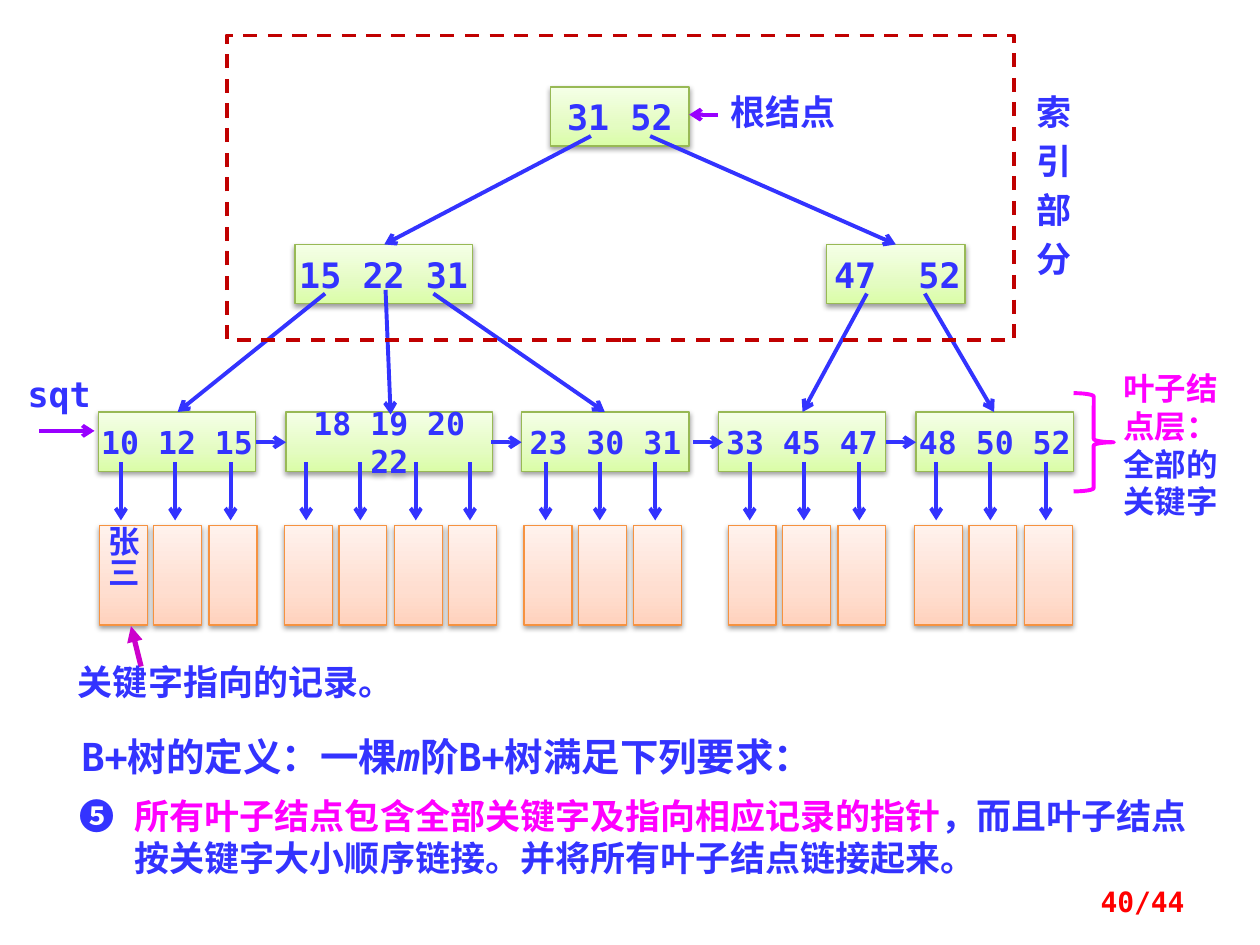
from pptx import Presentation
from pptx.dml.color import RGBColor
from pptx.enum.dml import MSO_LINE
from pptx.enum.shapes import MSO_CONNECTOR, MSO_SHAPE
from pptx.enum.text import MSO_ANCHOR, PP_ALIGN
from pptx.oxml import parse_xml
from pptx.oxml.ns import nsdecls, qn
from pptx.util import Pt
from lxml.etree import SubElement

PX = 9144  # 100 px to the inch
HEX = {"blue": "3333FF", "pink": "FF00FF", "red": "FF0000", "wine": "C00000",
       "violet": "9900FF", "plum": "CC00CC", "green": "98B955", "orange": "F69240"}
FADE = {"green": ("DAFDA7", "E4FCC2", "F5FFE7"),
        "orange": ("FFD2BD", "FFDED0", "FFF2ED")}
MONO, SANS, SERIF = "DejaVu Sans Mono", "Noto Sans CJK SC", "Times New Roman"

prs = Presentation()
prs.slide_width, prs.slide_height = 1000 * PX, 750 * PX
slide = prs.slides.add_slide(prs.slide_layouts[6])
shapes = slide.shapes


def write(box, *paras, size=20, font=MONO, color="blue", align=PP_ALIGN.LEFT,
          anchor=MSO_ANCHOR.TOP, inset=(10, 5, 10, 5), lines=None, gap=None,
          hang=0, tab=0):
    """Fill a shape with paragraphs; each is a string or a list of (text, format)."""
    frame = box.text_frame
    frame.word_wrap = True
    frame.vertical_anchor = anchor
    (frame.margin_left, frame.margin_top,
     frame.margin_right, frame.margin_bottom) = [n * PX for n in inset]
    for i, runs in enumerate(paras):
        para = frame.add_paragraph() if i else frame.paragraphs[0]
        props = para._p.get_or_add_pPr()
        if hang:
            props.set("marL", str(50 * PX))
            props.set("indent", str(-hang * PX))
        if tab:
            stops = SubElement(props, qn("a:tabLst"))
            SubElement(stops, qn("a:tab"), pos=str(tab * PX), algn="l")
        para.alignment = align
        para.line_spacing = lines
        if i and gap:
            para.space_before = gap
        for text, form in [(runs, {})] if isinstance(runs, str) else runs:
            run = para.add_run()
            run.text = text
            run.font.size, run.font.bold = Pt(size), True
            run.font.italic = form.get("italic")
            run.font.name = form.get("font", font)
            run.font.color.rgb = RGBColor.from_string(HEX[form.get("color", color)])
            SubElement(run.font._element, qn("a:ea"), typeface=SANS)


def link(x1, y1, x2, y2, color="blue", width=2.25, head="arrow"):
    """Draw a straight line with an arrowhead at its end."""
    line = shapes.add_connector(MSO_CONNECTOR.STRAIGHT,
                                x1 * PX, y1 * PX, x2 * PX, y2 * PX)
    line.line.color.rgb = RGBColor.from_string(HEX[color])
    line.line.width = Pt(width)
    props = line.element.spPr
    SubElement(props.find(qn("a:ln")), qn("a:tailEnd"), type=head)
    SubElement(props, qn("a:effectLst"))


# Tree nodes: left, top, width, text, size
leaves = [(78, 125, "10 12 15"), (227, 164, "18 19 20 22"), (414, 133, "23 30 31"),
          (570, 133, "33 45 47"), (727, 125, "48 50 52")]
nodes = [(437, 69, 110, "31 52", 20), (234, 194, 141, "15 22 31", 20),
         (656, 194, 110, "47\t52", 20)]
nodes += [(x, 327, w, text, 18) for x, w, text in leaves]
boxes = [(x, y, w, 47, "green", text, size) for x, y, w, text, size in nodes]

# Records under each leaf: left of the first one, count
cells = [(start + i * 87 // 2) for start, count in
         [(79, 3), (226, 4), (416, 3), (578, 3), (726, 3)] for i in range(count)]
boxes += [(x, 417, 38, 79, "orange", "", 18) for x in cells]
boxes[len(nodes)] = (79, 417, 38, 79, "orange", "张三", 18)

for x, y, w, h, hue, text, size in boxes:
    box = shapes.add_shape(MSO_SHAPE.RECTANGLE, x * PX, y * PX, w * PX, h * PX)
    props = box.element.spPr
    stops = "".join(f'<a:gs pos="{at}"><a:srgbClr val="{tint}"/></a:gs>'
                    for at, tint in zip((0, 35000, 100000), FADE[hue]))
    props.append(parse_xml(
        f'<a:gradFill {nsdecls("a")} rotWithShape="1"><a:gsLst>{stops}</a:gsLst>'
        '<a:lin ang="16200000" scaled="1"/></a:gradFill>'))
    box.line.color.rgb = RGBColor.from_string(HEX[hue])
    box.line.width = Pt(0.75)
    props.append(parse_xml(
        f'<a:effectLst {nsdecls("a")}><a:outerShdw blurRad="{Pt(3.1)}" '
        f'dist="{Pt(1.6)}" dir="5400000" rotWithShape="0"><a:srgbClr val="000000">'
        '<a:alpha val="38000"/></a:srgbClr></a:outerShdw></a:effectLst>'))
    if hue == "orange" and text:
        write(box, text, size=size, font=SANS, align=PP_ALIGN.CENTER,
              inset=(4, 0, 4, 0))
        box.text_frame._txBody.bodyPr.set("vert", "eaVert")
    elif "\t" in text:
        write(box, text, size=size, anchor=MSO_ANCHOR.MIDDLE,
              inset=(6, 5, 0, 5), tab=67)
    elif text:
        write(box, text, size=size, align=PP_ALIGN.CENTER,
              anchor=MSO_ANCHOR.MIDDLE, inset=(0, 5, 0, 5))

# Leaf chain, tree edges, record pointers
for x in (203, 390, 550, 703):
    link(x, 351, x + 24, 351)
for ends in [(258, 233, 141, 327), (306, 230, 310, 329), (344, 233, 480, 327),
             (688, 233, 637, 327), (734, 233, 789, 327),
             (469, 108, 305, 194), (516, 108, 711, 194)]:
    link(*ends)
for x in cells:
    link(x + 17, 367, x + 17, 413)

# Label arrows
link(112, 529, 104, 497, color="plum", width=3, head="triangle")
link(570, 91, 547, 91, color="violet")
link(31, 342, 75, 342, color="violet")

# Index frame and leaf brace
for kind, x, y, w, h, hue, width, dash in [
        (MSO_SHAPE.RECTANGLE, 180, 28, 625, 242, "wine", 2, MSO_LINE.DASH),
        (MSO_SHAPE.RIGHT_BRACE, 852, 312, 32, 78, "pink", 2.25, None)]:
    mark = shapes.add_shape(kind, x * PX, y * PX, w * PX, h * PX)
    mark.shadow.inherit = False
    mark.fill.background()
    mark.line.color.rgb = RGBColor.from_string(HEX[hue])
    mark.line.width = Pt(width)
    mark.line.dash_style = dash

# Labels and body text: place, paragraphs, format
pink = {"color": "pink"}
for place, paras, form in [
        ((52, 519, 291, 43), ["关键字指向的记录。"], dict(font=SANS)),
        ((813, 75, 40, 162), "索引部分",
         dict(font=SANS, lines=Pt(18), gap=Pt(10))),
        ((570, 67, 117, 44), ["根结点"], dict(font=SERIF)),
        ((8, 291, 78, 44), ["sqt"], dict(align=PP_ALIGN.CENTER)),
        ((875, 288, 108, 130),
         [[("叶子结点层：", {"font": SERIF, **pink}), ("全部的关键字", {})]],
         dict(size=18, font=SANS, align=PP_ALIGN.CENTER)),
        ((55, 573, 703, 51),
         [[("B+树的定义：一棵", {}), ("m", {"italic": True}),
           ("阶B+树满足下列要求：", {})]],
         dict(size=22, align=PP_ALIGN.JUSTIFY, lines=1.1)),
        ((47, 626, 922, 77),
         [[("❺\t", {}), ("所有叶子结点包含全部关键字及指向相应记录的指针", pink),
           ("，而且叶子结点按关键字大小顺序链接。并将所有叶子结点链接起来。", {})]],
         dict(hang=44)),
        ((717, 695, 233, 40), ["40/44"],
         dict(size=16, color="red", align=PP_ALIGN.RIGHT,
              anchor=MSO_ANCHOR.MIDDLE))]:
    write(shapes.add_textbox(*[n * PX for n in place]), *paras, **form)

prs.save("out.pptx")
